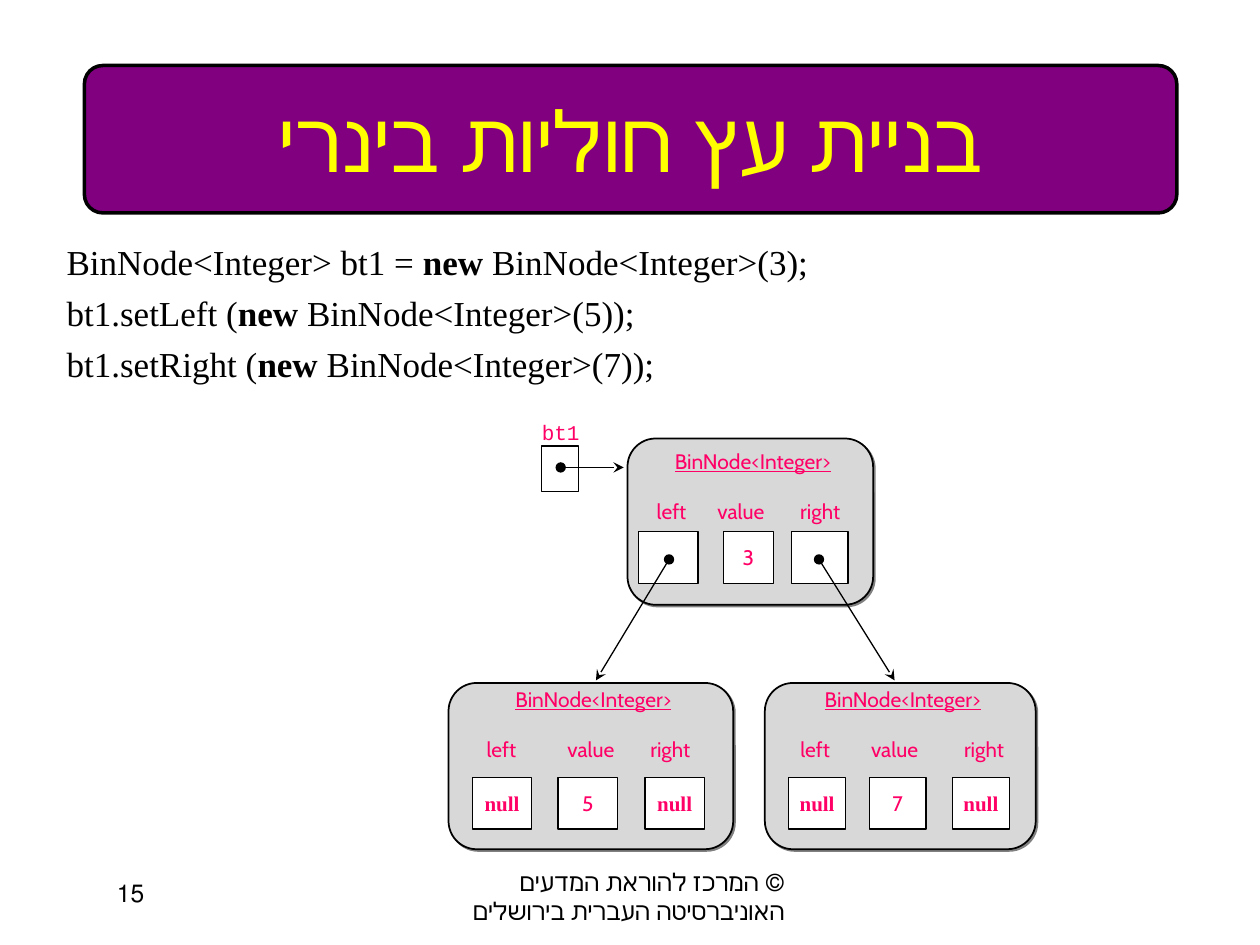
from dataclasses import dataclass
from pptx import Presentation, util as u
from pptx.dml.color import RGBColor
from pptx.enum import shapes as s, text as t
from pptx.oxml.ns import qn
from lxml import etree

COLS, ROWS = 100, 75
HUE = {"ink": "000000", "paper": "FFFFFF", "banner": "800080", "title": "FFFF00",
       "node": "D8D8D8", "pink": "FF0066", "shade": "808080"}
SERIF, SANS, MONO = "Times New Roman", "Cabin", "Courier New"
LEFT, MID, RIGHT = t.PP_ALIGN.LEFT, t.PP_ALIGN.CENTER, t.PP_ALIGN.RIGHT
FIELDS = ("left", "value", "right")

deck = Presentation()
deck.slide_width, deck.slide_height = u.Inches(10), u.Inches(7.5)
slide = deck.slides.add_slide(deck.slide_layouts[5])


@dataclass
class Box:
    """A place on the grid, in columns and rows."""
    x: float
    y: float
    w: float
    h: float

    def emu(self) -> list[int]:
        return [col(self.x), row(self.y), col(self.w), row(self.h)]


@dataclass
class Node:
    box: Box
    cap: float      # row of the class name
    base: float     # row of the cells
    cells: list[tuple[float, float, str]]   # column, width, content
    mids: tuple[float, float, float]        # label centres


def col(n: float) -> int:
    return round(n * deck.slide_width / COLS)


def row(n: float) -> int:
    return round(n * deck.slide_height / ROWS)


def rgb(key: str) -> RGBColor:
    return RGBColor.from_string(HUE[key])


def write(shape, copy: str, *, size: float = 12, font: str = SANS, hue: str = "pink",
          bold: bool = False, line: bool = False, align=MID, rtl: bool = False,
          gap: float = 0, pad: tuple = (0.1, 0.05, 0.1, 0.05),
          anchor=t.MSO_ANCHOR.TOP) -> None:
    """Fill a shape with text; ** switches bold, a line end starts a paragraph."""
    frame = shape.text_frame
    frame.word_wrap, frame.vertical_anchor = True, anchor
    (frame.margin_left, frame.margin_top,
     frame.margin_right, frame.margin_bottom) = map(u.Inches, pad)
    for i, words in enumerate(copy.split("\n")):
        para = frame.add_paragraph() if i else frame.paragraphs[0]
        para.alignment = align
        if i:
            para.space_before = u.Pt(gap)
        if rtl:
            para._p.get_or_add_pPr().set("rtl", "1")
        for k, part in enumerate(words.split("**")):
            if k:
                bold = not bold
            for j, piece in enumerate(part.split("\v")):
                if j:
                    para.add_line_break()
                run = para.add_run()
                run.text = piece
                face = run.font
                face.size, face.name, face.bold = u.Pt(size), font, bold
                face.underline = line
                face.color.rgb = rgb(hue)


def label(box: Box, copy: str, **form) -> None:
    write(slide.shapes.add_textbox(*box.emu()), copy, **form)


def block(box: Box, fill: str = "paper", width: float = 0.75, bend: float = 0):
    """Draw a box; bend rounds its corners."""
    kind = s.MSO_SHAPE.ROUNDED_RECTANGLE if bend else s.MSO_SHAPE.RECTANGLE
    shape = slide.shapes.add_shape(kind, *box.emu())
    if bend:
        shape.adjustments[0] = bend
    shape.shadow.inherit = False
    shape.fill.solid()
    shape.fill.fore_color.rgb = rgb(fill)
    shape.line.color.rgb = rgb("ink")
    shape.line.width = u.Pt(width)
    return shape


def shade(shape) -> None:
    """Cast a hard shadow to the lower right."""
    drop = etree.SubElement(shape._element.spPr.find(qn("a:effectLst")), qn("a:outerShdw"),
                            dist=str(u.Pt(1.4)), dir="2700000", algn="ctr")
    etree.SubElement(drop, qn("a:srgbClr"), val=HUE["shade"])


def arrow(x1: float, y1: float, x2: float, y2: float) -> None:
    link = slide.shapes.add_connector(s.MSO_CONNECTOR.STRAIGHT,
                                      col(x1), row(y1), col(x2), row(y2))
    link.line.color.rgb = rgb("ink")
    link.line.width = u.Pt(0.75)
    edge = link.line._get_or_add_ln()
    etree.SubElement(edge, qn("a:headEnd"), type="oval")
    etree.SubElement(edge, qn("a:tailEnd"), type="stealth")
    etree.SubElement(link._element.spPr, qn("a:effectLst"))


def draw(node: Node) -> None:
    box = node.box
    shade(block(box, "node", 1, 0.17))
    mid = box.x + box.w / 2 + 0.2
    label(Box(mid - 11, node.cap, 22, 3), "BinNode<Integer>", line=True)
    for name, at in zip(FIELDS, node.mids):
        label(Box(at - 5, node.cap + 4, 10, 3), name)
    for x, w, copy in node.cells:
        cell = block(Box(x, node.base, w, 4.1))
        if copy:
            null = copy == "null"
            write(cell, copy, font=SERIF if null else SANS, bold=null,
                  pad=(0, 0, 0, 0), anchor=t.MSO_ANCHOR.MIDDLE)


def main() -> None:
    banner = Box(6.7, 5.2, 86.7, 11.7)
    back = block(banner, "banner", 2, 0.125)
    title = slide.shapes.title
    title.left, title.top, title.width, title.height = banner.emu()
    slide.shapes._spTree.remove(back._element)
    title._element.addprevious(back._element)
    write(title, "בניית עץ חוליות בינרי", size=48, font=SERIF, hue="title",
          rtl=True, anchor=t.MSO_ANCHOR.MIDDLE)

    label(Box(4.3, 18.6, 92.9, 13),
          "BinNode<Integer> bt1 = **new** BinNode<Integer>(3);\n"
          "bt1.setLeft (**new** BinNode<Integer>(5));\n"
          "bt1.setRight (**new** BinNode<Integer>(7));",
          size=20, font=SERIF, hue="ink", align=LEFT, gap=5)

    label(Box(37.6, 32.8, 13.8, 3.2), "bt1", font=MONO)
    block(Box(43, 35.4, 2.9, 3.6))
    nodes = [
        Node(Box(49.8, 34.8, 19.5, 13.2), 35.1, 42.2,
             [(50.7, 4.7, ""), (57.4, 4, "3"), (62.8, 4.5, "")], (53.3, 58.8, 65.1)),
        Node(Box(35.6, 54.2, 22.6, 13.2), 54, 61.7,
             [(37.5, 4.7, "null"), (44.3, 4.7, "5"), (51.2, 4.7, "null")],
             (39.8, 46.9, 53.2)),
        Node(Box(60.7, 54.2, 21.5, 13.2), 54, 61.7,
             [(62.6, 4.5, "null"), (69, 4.5, "7"), (75.6, 4.5, "null")],
             (64.7, 71, 78.1)),
    ]
    for node in nodes:
        draw(node)
    for ends in ((44.5, 37.1, 49.5, 37.1), (53.1, 44.4, 47.3, 54), (65, 44.4, 71, 54)):
        arrow(*ends)

    label(Box(34.2, 68.3, 31.7, 5), "© המרכז להוראת המדעים\vהאוניברסיטה העברית בירושלים",
          size=14, font=SERIF, hue="ink", align=RIGHT, rtl=True, pad=(0.1, 0.05, 0.36, 0.05))
    label(Box(8.3, 69.2, 5, 5), "15", size=14, font=SERIF, hue="ink", align=LEFT, rtl=True)
    deck.save("out.pptx")


if __name__ == "__main__":
    main()
